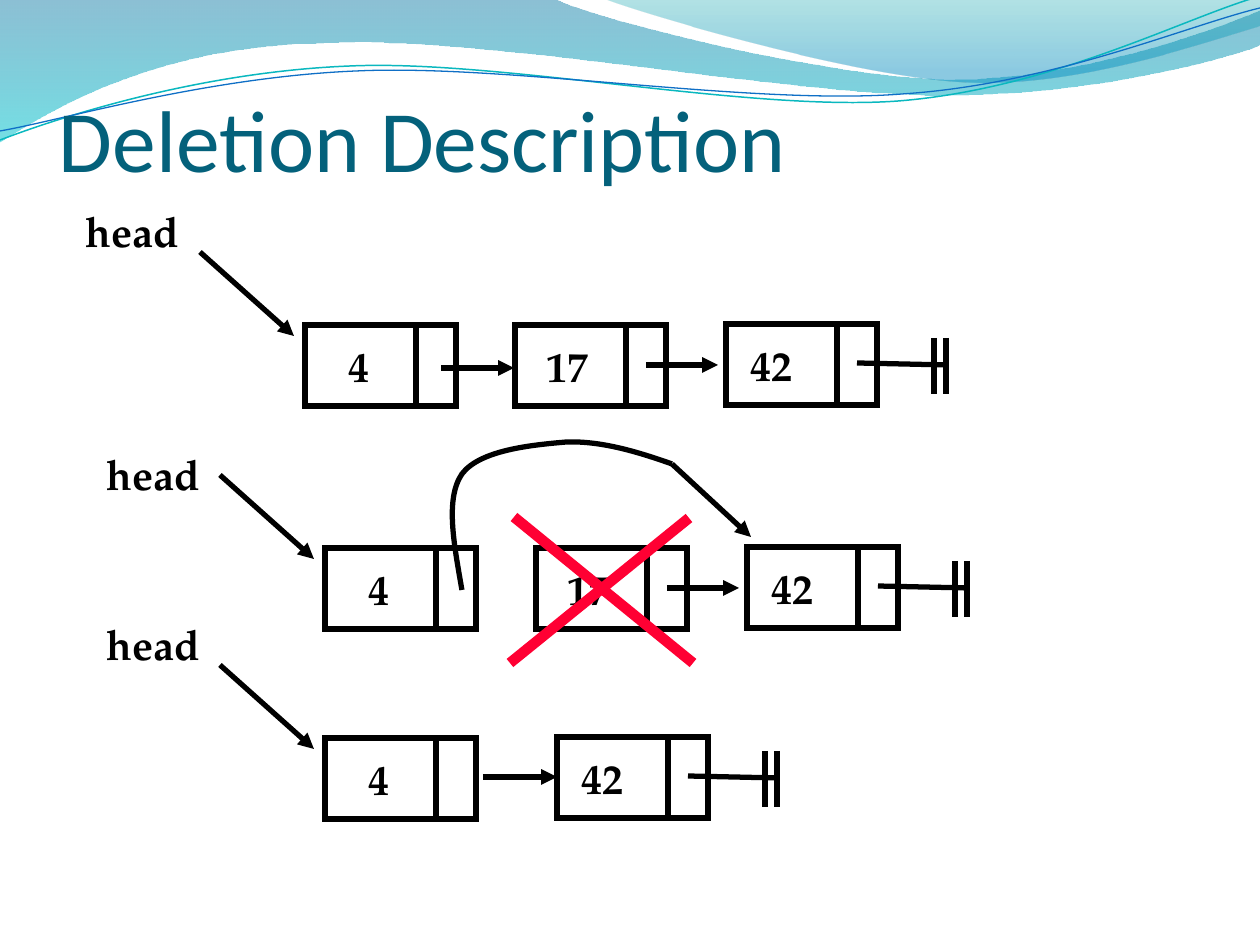
from lxml import etree
from pptx import Presentation
from pptx.dml.color import RGBColor
from pptx.enum.shapes import MSO_CONNECTOR, MSO_SHAPE
from pptx.enum.text import MSO_ANCHOR, MSO_AUTO_SIZE, PP_ALIGN
from pptx.oxml.ns import qn
from pptx.util import Pt

RECTANGLE = MSO_SHAPE.RECTANGLE
STRAIGHT = MSO_CONNECTOR.STRAIGHT
BOTTOM = MSO_ANCHOR.BOTTOM
LEFT = PP_ALIGN.LEFT
FIT_SHAPE = MSO_AUTO_SIZE.SHAPE_TO_FIT_TEXT
FIT_NONE = MSO_AUTO_SIZE.NONE

SCALE = 914400 / 126
COLORS = {
    "ink": "000000",
    "title": "04617B",
    "cross": "FF0033",
    "deep": "0074A1",
    "cyan": "00C6CF",
    "teal": "00A1A9",
    "sky": "008BBF",
    "teal_line": "0AB8BF",
    "blue_line": "0F6FC6",
}
NODE_WIDTH, NODE_HEIGHT, DIVIDER = 151, 81, 111
TEXT_HEIGHT = 63
VALUE_OFFSETS = {"4": (31, 49), "17": (19, 72), "42": (12, 72)}


def emu(pixels):
    return round(pixels * SCALE)


def color(name):
    return RGBColor.from_string(COLORS[name])


class Diagram:
    label_font = "TeX Gyre Pagella"
    title_font = "Calibri"

    def __init__(self, slide):
        self.slide = slide
        self.shapes = slide.shapes

    def run(self, paragraph, text, font, size, color_name, bold):
        run = paragraph.add_run()
        run.text = text
        run.font.name = font
        run.font.size = Pt(size)
        run.font.bold = bold
        run.font.color.rgb = color(color_name)

    def title(self, text, left, top, width, height):
        shape = self.shapes.title
        shape.left, shape.top = emu(left), emu(top)
        shape.width, shape.height = emu(width), emu(height)
        shape.element.getparent().append(shape.element)
        frame = shape.text_frame
        frame.auto_size = FIT_NONE
        frame.vertical_anchor = BOTTOM
        frame.margin_left = frame.margin_right = frame.margin_bottom = 0
        paragraph = frame.paragraphs[0]
        paragraph.alignment = LEFT
        self.run(paragraph, text, self.title_font, 50, "title", False)

    def label(self, text, left, top, width):
        shape = self.shapes.add_textbox(emu(left), emu(top), emu(width), emu(TEXT_HEIGHT))
        frame = shape.text_frame
        frame.word_wrap = False
        frame.auto_size = FIT_SHAPE
        self.run(frame.paragraphs[0], text, self.label_font, 24, "ink", True)

    def line(self, x1, y1, x2, y2, arrow=False, color_name="ink", width=3):
        connector = self.shapes.add_connector(STRAIGHT, emu(x1), emu(y1), emu(x2), emu(y2))
        connector.line.color.rgb = color(color_name)
        connector.line.width = Pt(width)
        if arrow:
            outline = connector.element.spPr.find(qn("a:ln"))
            etree.SubElement(outline, qn("a:tailEnd"), type="triangle")
        etree.SubElement(connector.element.spPr, qn("a:effectLst"))

    def outline(self, start, segments, closed):
        points = [segment[i:i + 2] for segment in segments for i in range(0, len(segment), 2)]
        builder = self.shapes.build_freeform(emu(start[0]), emu(start[1]), scale=1.0)
        builder.add_line_segments([(emu(x), emu(y)) for x, y in points], close=closed)
        shape = builder.convert_to_shape()
        shape.shadow.inherit = False
        corners = iter(list(shape.element.spPr.iter(qn("a:lnTo"))))
        for segment in segments:
            corner = next(corners)
            if len(segment) == 6:
                corner.addprevious(etree.Element(qn("a:cubicBezTo")))
                bend = corner.getprevious()
                for part in (corner, next(corners), next(corners)):
                    bend.append(part[0])
                    part.getparent().remove(part)
        return shape

    def curve(self, start, segments, color_name="ink", width=3):
        shape = self.outline(start, segments, False)
        shape.fill.background()
        shape.line.color.rgb = color(color_name)
        shape.line.width = Pt(width)

    def wave(self, start, segments, stops):
        shape = self.outline(start, segments, True)
        shape.line.fill.background()
        shape.fill.gradient()
        shape.fill.gradient_angle = 270
        for stop, (position, color_name, opacity) in zip(shape.fill.gradient_stops, stops):
            stop.position = position
            stop.color.rgb = color(color_name)
        gradient = shape.element.spPr.find(qn("a:gradFill"))
        for element, stop in zip(gradient.iter(qn("a:srgbClr")), stops):
            etree.SubElement(element, qn("a:alpha"), val=str(stop[2] * 1000))

    def node(self, value, left, top):
        shape = self.shapes.add_shape(RECTANGLE, emu(left), emu(top),
                                      emu(NODE_WIDTH), emu(NODE_HEIGHT))
        shape.shadow.inherit = False
        shape.fill.background()
        shape.line.color.rgb = color("ink")
        shape.line.width = Pt(3)
        outline = shape.element.spPr.find(qn("a:ln"))
        etree.SubElement(outline, qn("a:miter"), lim="800000")
        self.line(left + DIVIDER, top, left + DIVIDER, top + NODE_HEIGHT)
        offset, width = VALUE_OFFSETS[value]
        self.label(value, left + offset, top + 9, width)

    def head(self, left, top, label_left, label_top):
        self.label("head", label_left, label_top, 123)
        self.line(left - 105, top - 73, left - 11, top + 11, arrow=True)

    def list_end(self, left, top):
        self.line(left + 131, top + 39, left + 222, top + 41)
        for offset in (208, 220):
            self.line(left + offset, top + 14, left + offset, top + 70)


presentation = Presentation()
presentation.slide_width, presentation.slide_height = emu(1260), emu(945)
diagram = Diagram(presentation.slides.add_slide(presentation.slide_layouts[5]))

diagram.wave((0, 0), [
    (554, -1), (600, 21, 837, 79, 955, 79), (1075, 79, 1207, 33, 1260, 11),
    (1261, 45), (1239, 55, 1096, 96, 940, 95), (784, 95, 481, 35, 324, 43),
    (163, 45, 58, 105, -1, 142), (0, 0),
], [(0, "deep", 45), (1, "cyan", 55)])
diagram.wave((604, -1), [
    (641, 14, 859, 78, 969, 82), (1079, 87, 1211, 40, 1260, 26),
    (1260, 0), (604, -1),
], [(0, "teal", 30), (0.8, "sky", 45)])
diagram.curve((0, 140), [
    (60, 117, 199, 72, 349, 66), (498, 59, 747, 112, 898, 101),
    (1050, 89, 1182, 19, 1257, -3),
], "teal_line", 0.85)
diagram.curve((0, 131), [
    (59, 121, 207, 77, 357, 71), (508, 64, 752, 106, 903, 94),
    (1053, 84, 1186, 26, 1260, 8),
], "blue_line", 0.75)
diagram.title("Deletion Description", 59, 32, 1134, 158)

LISTS = [
    (325, {"4": 305, "17": 515, "42": 726}, 73, 199),
    (548, {"4": 325, "17": 536, "42": 747}, 94, 442),
    (738, {"4": 325, "42": 557}, 94, 612),
]
for top, nodes, label_left, label_top in LISTS:
    diagram.head(nodes["4"], top, label_left, label_top)
    for value, left in nodes.items():
        diagram.node(value, left, top - 1 if value == "42" else top)
    if "17" in nodes:
        left = nodes["17"]
        diagram.line(left + 131, top + 40, left + 203, top + 40, arrow=True)
    diagram.list_end(nodes["42"], top - 1)

diagram.line(441, 368, 514, 368, arrow=True)
diagram.line(483, 777, 557, 777, arrow=True)
diagram.line(672, 464, 751, 537, arrow=True)
diagram.line(514, 517, 693, 663, color_name="cross", width=6)
diagram.line(689, 518, 510, 663, color_name="cross", width=6)
diagram.curve((462, 590), [
    (454, 544, 445, 499, 462, 474), (480, 450, 532, 445, 567, 442),
    (602, 441, 638, 452, 672, 464),
])

presentation.save("out.pptx")
